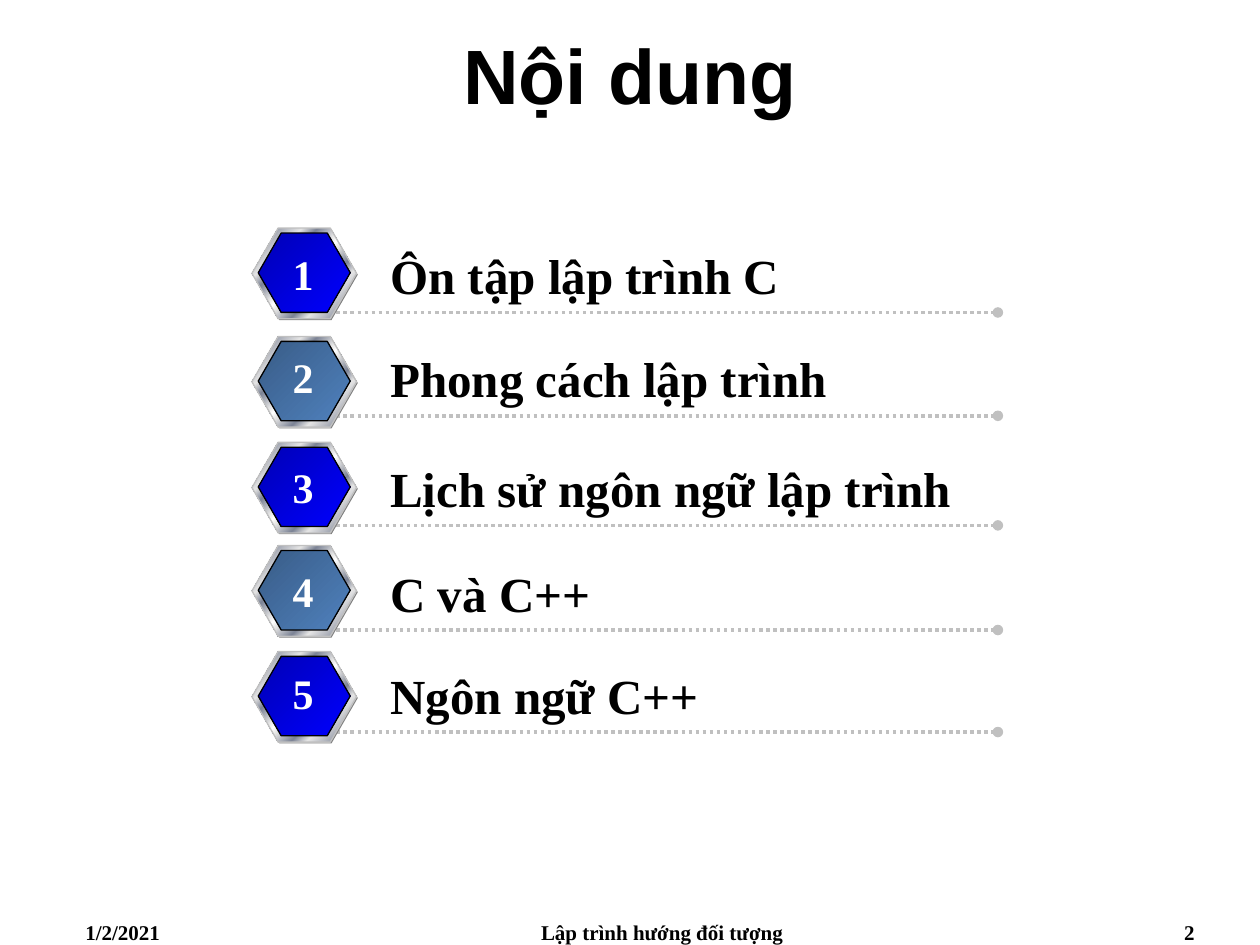
from lxml.etree import SubElement
from pptx import Presentation
from pptx.dml.color import RGBColor
from pptx.enum.dml import MSO_LINE
from pptx.enum.shapes import MSO_CONNECTOR, MSO_SHAPE
from pptx.enum.text import MSO_ANCHOR, PP_ALIGN
from pptx.oxml.ns import qn
from pptx.util import Inches, Pt

SERIF = "Times New Roman"
SILVER = [(0, "E6E6E6"), (7, "7D8496"), (26, "E6E6E6"), (34, "7D8496"),
          (46, "E6E6E6"), (50, "FFFFFF"), (54, "E6E6E6"), (66, "7D8496"),
          (74, "E6E6E6"), (93, "7D8496"), (100, "E6E6E6")]
BLUE = [(0, "0000B6"), (100, "0000FF")]
STEEL = [(0, "395C87"), (100, "4F81BD")]

TOPICS = [
    ("Ôn tập lập trình C", 1.81, 1.9),
    ("Phong cách lập trình", 2.67, 2.72),
    ("Lịch sử ngôn ngữ lập trình", 3.51, 3.59),
    ("C và C++", 4.33, 4.42),
    ("Ngôn ngữ C++", 5.17, 5.23),
]
FOOTERS = [
    ("1/2/2021", 0.58, 2.33, PP_ALIGN.LEFT),
    ("Lập trình hướng đối tượng", 3.67, 3.17, PP_ALIGN.CENTER),
    ("2", 7.25, 2.33, PP_ALIGN.RIGHT),
]


def rgb(value):
    return RGBColor.from_string(value)


def write(frame, text, size=12, font=SERIF, color="000000", bold=True,
          align=PP_ALIGN.LEFT, anchor=MSO_ANCHOR.TOP, wrap=True):
    frame.word_wrap = wrap
    frame.vertical_anchor = anchor
    paragraph = frame.paragraphs[0]
    paragraph.alignment = align
    run = paragraph.add_run()
    run.text = text
    run.font.size = Pt(size)
    run.font.name = font
    run.font.bold = bold
    run.font.color.rgb = rgb(color)


class Deck:
    def __init__(self):
        self.prs = Presentation()
        self.prs.slide_width = Inches(10)
        self.prs.slide_height = Inches(7.5)
        self.slide = self.prs.slides.add_slide(self.prs.slide_layouts[5])
        self.shapes = self.slide.shapes

    def title(self, text):
        heading = self.slide.shapes.title
        heading.left, heading.top = Inches(0), Inches(0)
        heading.width, heading.height = Inches(10), Inches(1.17)
        write(heading.text_frame, text, size=44, font="Arial",
              align=PP_ALIGN.CENTER, anchor=MSO_ANCHOR.MIDDLE)

    def label(self, text, left, top, width, height, **style):
        box = self.shapes.add_textbox(Inches(left), Inches(top), Inches(width), Inches(height))
        write(box.text_frame, text, **style)

    def hexagon(self, left, top, width, height, fill, line=None):
        hexagon = self.shapes.add_shape(MSO_SHAPE.HEXAGON, Inches(left), Inches(top),
                                        Inches(width), Inches(height))
        hexagon.shadow.inherit = False
        hexagon.adjustments[0] = 0.289
        if isinstance(fill, str):
            hexagon.fill.solid()
            hexagon.fill.fore_color.rgb = rgb(fill)
        else:
            self.gradient(hexagon, fill)
        if line:
            hexagon.line.color.rgb = rgb(line)
            hexagon.line.width = Pt(0.75)
        else:
            hexagon.line.fill.background()

    def gradient(self, shape, stops):
        shape.fill.gradient()
        shape.fill.gradient_angle = 315
        stop_list = shape.element.spPr.find(qn("a:gradFill")).find(qn("a:gsLst"))
        for stop in list(stop_list):
            stop_list.remove(stop)
        for position, color in stops:
            stop = SubElement(stop_list, qn("a:gs"), pos=str(position * 1000))
            SubElement(stop, qn("a:srgbClr"), val=color)

    def dotted_rule(self, left, right, y):
        rule = self.shapes.add_connector(MSO_CONNECTOR.STRAIGHT, Inches(left), Inches(y),
                                         Inches(right), Inches(y))
        rule.line.color.rgb = rgb("C0C0C0")
        rule.line.width = Pt(2)
        rule.line.dash_style = MSO_LINE.ROUND_DOT
        SubElement(rule.line._get_or_add_ln(), qn("a:tailEnd"), type="oval")
        SubElement(rule.element.spPr, qn("a:effectLst"))

    def topic(self, number, text, badge_top, text_top):
        self.shapes = self.slide.shapes.add_group_shape().shapes
        self.dotted_rule(2.67, 7.92, text_top + 0.58)
        self.hexagon(2.01, badge_top + 0.01, 0.83, 0.72, "808080")
        self.hexagon(2, badge_top, 0.83, 0.72, SILVER, "C0C0C0")
        self.hexagon(2.05, badge_top + 0.04, 0.73, 0.63, BLUE if number % 2 else STEEL, "000000")
        self.label(text, 3, text_top, 4.92, 0.57, size=28)
        self.label(str(number), 2.22, text_top + 0.02, 0.37, 0.5, size=24,
                   color="FFFFFF", align=PP_ALIGN.CENTER, wrap=False)
        self.shapes = self.slide.shapes


def main():
    deck = Deck()
    deck.title("Nội dung")
    for text, left, width, align in FOOTERS:
        deck.label(text, left, 7.25, width, 0.25, align=align)
    for number, (text, badge_top, text_top) in enumerate(TOPICS, 1):
        deck.topic(number, text, badge_top, text_top)
    deck.prs.save("out.pptx")


if __name__ == "__main__":
    main()
